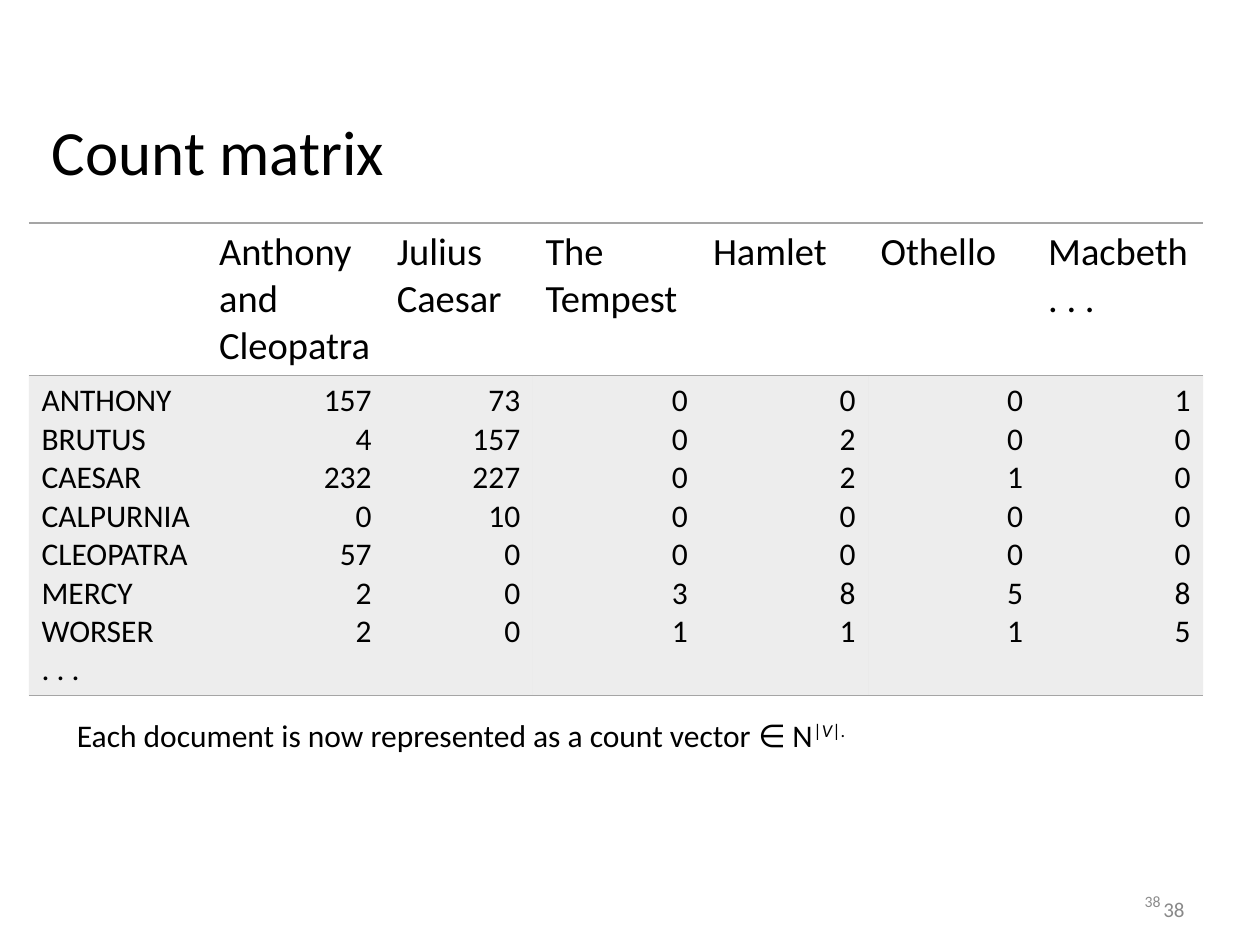
"""Build a slide with the count matrix of terms in Shakespeare plays."""
import pptx
import pptx.dml.color
import pptx.enum.text
import pptx.oxml
import pptx.oxml.ns
import pptx.util
from lxml import etree

Inches = pptx.util.Inches
ALIGN = pptx.enum.text.PP_ALIGN
ANCHOR = pptx.enum.text.MSO_ANCHOR
FONT, BLACK, GREY = "Calibri", "000000", "A5A5A5"
NO_STYLE = "{2D5ABB26-0587-4C30-8999-92F81FD0307C}"

TITLE = "Count matrix"
TERMS = ["ANTHONY", "BRUTUS", "CAESAR", "CALPURNIA", "CLEOPATRA", "MERCY", "WORSER", ". . ."]
PLAYS = [
    ("Anthony and Cleopatra", [157, 4, 232, 0, 57, 2, 2]),
    ("Julius Caesar", [73, 157, 227, 10, 0, 0, 0]),
    ("The Tempest", [0, 0, 0, 0, 0, 3, 1]),
    ("Hamlet", [0, 2, 2, 0, 0, 8, 1]),
    ("Othello", [0, 0, 1, 0, 0, 5, 1]),
    ("Macbeth . . .", [1, 0, 0, 0, 0, 8, 5]),
]
COLUMN_WIDTHS = [1.41, 1.41, 1.18] + [1.33] * 4
ROW_HEIGHTS = [1.21, 2.54]
NOTE = "Each document is now represented as a count vector ∈ N"
EXPONENT = [("|", False), ("V", True), ("|.", False)]
PAGE_NUMBERS = [((7.17, 7.08, 2.33, 0.27), 12, "898989"), ((7.06, 6.95, 2.25, 0.4), 9, "8C8C8C")]


def rgb(color):
    return pptx.dml.color.RGBColor.from_string(color)


def place(shape, box):
    shape.left, shape.top, shape.width, shape.height = map(Inches, box)


def format_text(text_frame, size, color=BLACK, align=ALIGN.LEFT):
    for paragraph in text_frame.paragraphs:
        paragraph.alignment = align
        for run in paragraph.runs:
            run.font.size = pptx.util.Pt(size)
            run.font.name = FONT
            run.font.color.rgb = rgb(color)


def add_borders(cell, sides):
    properties = cell._tc.get_or_add_tcPr()
    for position, side in enumerate(sides):
        properties.insert(position, pptx.oxml.parse_xml(
            f'<a:ln{side} {pptx.oxml.ns.nsdecls("a")} w="12700"><a:solidFill>'
            f'<a:srgbClr val="{GREY}"/></a:solidFill></a:ln{side}>'))


def shade(cell):
    cell.fill.solid()
    cell.fill.fore_color.rgb = rgb(GREY)
    color = cell._tc.tcPr.find(".//" + pptx.oxml.ns.qn("a:solidFill"))[0]
    etree.SubElement(color, pptx.oxml.ns.qn("a:alpha"), val="20000")


def add_matrix(slide):
    frame = slide.shapes.add_table(2, len(COLUMN_WIDTHS), Inches(0.23), Inches(1.77),
                                   Inches(sum(COLUMN_WIDTHS)), Inches(sum(ROW_HEIGHTS)))
    table = frame.table
    table.first_row = table.horz_banding = False
    table._tbl.tblPr.find(pptx.oxml.ns.qn("a:tableStyleId")).text = NO_STYLE
    for row, height in zip(table.rows, ROW_HEIGHTS):
        row.height = Inches(height)
    columns = [("", TERMS)] + PLAYS
    for index, (heading, values) in enumerate(columns):
        table.columns[index].width = Inches(COLUMN_WIDTHS[index])
        header, body = table.cell(0, index), table.cell(1, index)
        header.text_frame.text = heading
        format_text(header.text_frame, 22)
        header.fill.background()
        add_borders(header, "TB")
        body.text_frame.text = "\n".join(map(str, values))
        format_text(body.text_frame, 18, align=ALIGN.RIGHT if index else ALIGN.LEFT)
        shade(body)
        add_borders(body, "TB")


def add_note(shape):
    place(shape, (0.23, 5.63, 9.38, 1.87))
    text_frame = shape.text_frame
    text_frame.auto_size = pptx.enum.text.MSO_AUTO_SIZE.NONE
    text_frame.text = NOTE
    paragraph = text_frame.paragraphs[0]
    properties = paragraph._p.get_or_add_pPr()
    properties.set("marL", str(Inches(0.28)))
    properties.set("indent", "0")
    etree.SubElement(properties, pptx.oxml.ns.qn("a:buNone"))
    paragraph.space_before = pptx.util.Pt(0)
    for text, italic in EXPONENT:
        run = paragraph.add_run()
        run.text = text
        run.font.italic = italic
        run._r.get_or_add_rPr().set("baseline", "30000")
    format_text(text_frame, 18)


def main():
    presentation = pptx.Presentation()
    presentation.slide_width, presentation.slide_height = Inches(10), Inches(7.5)
    slide = presentation.slides.add_slide(presentation.slide_layouts[1])
    title = slide.shapes.title
    place(title, (0.31, 0.01, 9.38, 1.53))
    title.text_frame.text = TITLE
    title.text_frame.vertical_anchor = ANCHOR.BOTTOM
    format_text(title.text_frame, 36)
    add_note(slide.placeholders[1])
    for box, size, color in PAGE_NUMBERS:
        number = slide.shapes.add_textbox(*map(Inches, box))
        number.text_frame.word_wrap = True
        number.text_frame.vertical_anchor = ANCHOR.MIDDLE
        number.text_frame.text = "38"
        format_text(number.text_frame, size, color, ALIGN.RIGHT)
    add_matrix(slide)
    presentation.save("out.pptx")


if __name__ == "__main__":
    main()
